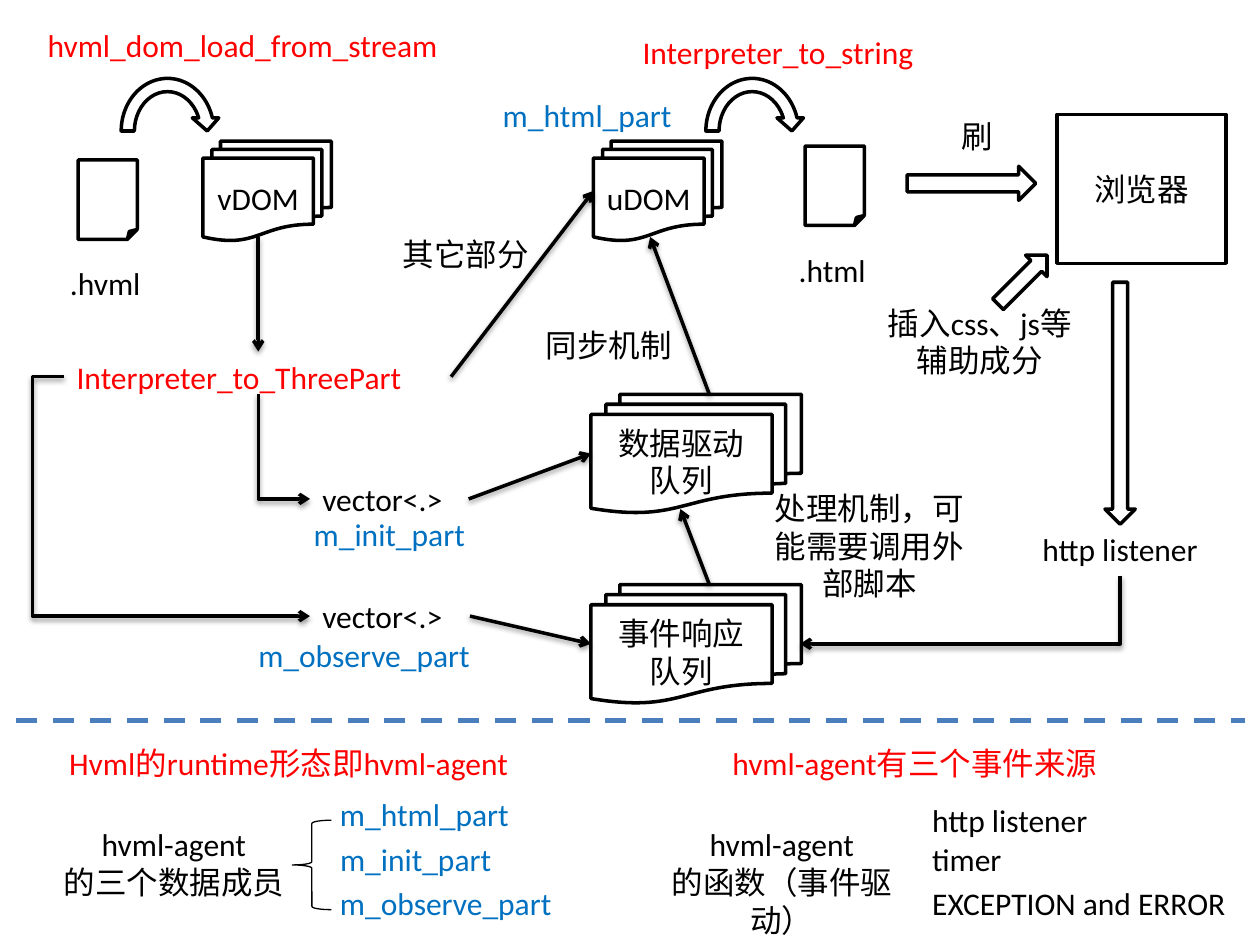
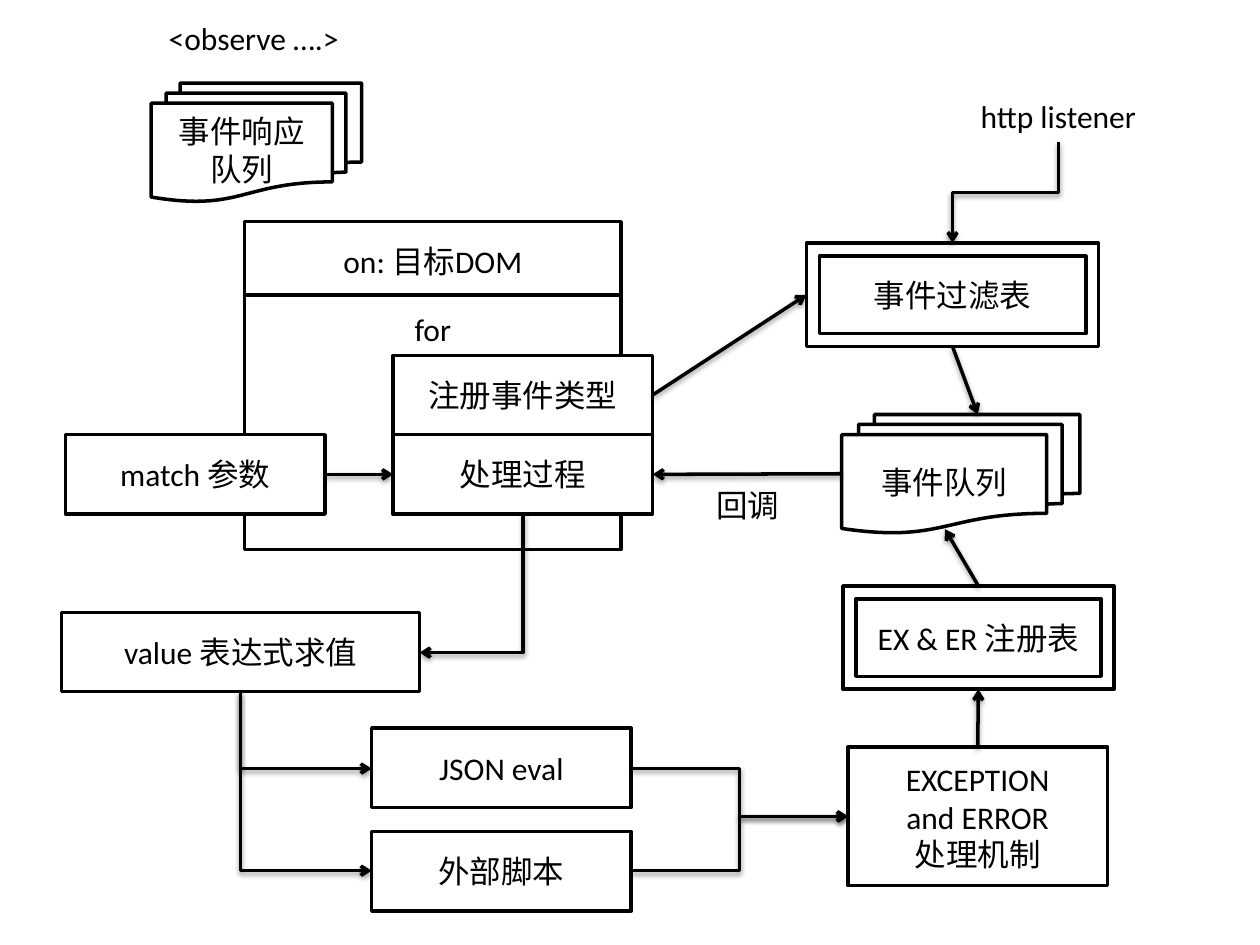
from lxml.etree import SubElement
from pptx import Presentation
from pptx.dml.color import RGBColor
from pptx.enum.dml import MSO_LINE
from pptx.enum.shapes import MSO_CONNECTOR, MSO_SHAPE
from pptx.enum.text import MSO_ANCHOR, MSO_AUTO_SIZE, PP_ALIGN
from pptx.oxml.ns import qn
from pptx.util import Inches, Pt

BLACK = RGBColor(0x00, 0x00, 0x00)
WHITE = RGBColor(0xFF, 0xFF, 0xFF)
RED = RGBColor(0xFF, 0x00, 0x00)
BLUE = RGBColor(0x00, 0x70, 0xC0)
DIVIDER = RGBColor(0x4B, 0x7E, 0xBC)
FONT = "Calibri"
TEXT_SIZE = Pt(18)
LINE_WIDTH = Pt(2)
LABEL_HEIGHT = 0.4
LEFT, CENTER = PP_ALIGN.LEFT, PP_ALIGN.CENTER
TOP_SIDE, LEFT_SIDE, BOTTOM_SIDE, RIGHT_SIDE = range(4)
RECTANGLE = MSO_SHAPE.RECTANGLE
DOCUMENTS = MSO_SHAPE.FLOWCHART_MULTIDOCUMENT
FRAME = MSO_SHAPE.FRAME
SHEET = MSO_SHAPE.FOLDED_CORNER
LOOP_ARROW = MSO_SHAPE.CIRCULAR_ARROW
BLOCK_ARROW = MSO_SHAPE.RIGHT_ARROW


def add_node(page, kind, place, text="", color=BLACK, align=CENTER):
    left, top, width, height = map(Inches, place)
    if kind is None:
        box = page.shapes.add_textbox(left, top, width, height)
        box.text_frame.auto_size = MSO_AUTO_SIZE.SHAPE_TO_FIT_TEXT
    else:
        box = page.shapes.add_shape(kind, left, top, width, height)
        box.shadow.inherit = False
        box.fill.solid()
        box.fill.fore_color.rgb = WHITE
        box.line.color.rgb = BLACK
        box.line.width = LINE_WIDTH
        box.text_frame.vertical_anchor = MSO_ANCHOR.MIDDLE
    frame = box.text_frame
    frame.word_wrap = True
    for number, words in enumerate(text.split("\n") if text else []):
        para = frame.add_paragraph() if number else frame.paragraphs[0]
        para.alignment = align
        span = para.add_run()
        span.text = words
        span.font.name = FONT
        span.font.size = TEXT_SIZE
        span.font.color.rgb = color
    return box


def add_arrow(page, begin, end, bend=None, adjust=None):
    (x1, y1), (x2, y2) = begin, end
    downward = bend in ("corner", "down")
    if downward:
        middle_x, middle_y = (x1 + x2) / 2, (y1 + y2) / 2
        half_width, half_height = (y2 - y1) / 2, abs(x2 - x1) / 2
        corners = (middle_x - half_width, middle_y - half_height,
                   middle_x + half_width, middle_y + half_height)
    else:
        corners = (x1, y1, x2, y2)
    kind = MSO_CONNECTOR.ELBOW if bend else MSO_CONNECTOR.STRAIGHT
    arrow = page.shapes.add_connector(kind, *map(Inches, corners))
    arrow.line.color.rgb = BLACK
    arrow.line.width = LINE_WIDTH
    properties = arrow._element.spPr
    if downward:
        transform = properties.find(qn("a:xfrm"))
        transform.set("rot", str((90 if x2 < x1 else 270) * 60000))
        if x2 > x1:
            transform.set("flipH", "1")
    geometry = properties.find(qn("a:prstGeom"))
    if bend == "corner":
        geometry.set("prst", "bentConnector2")
    if adjust is not None:
        guides = geometry.find(qn("a:avLst"))
        SubElement(guides, qn("a:gd"), name="adj1", fmla=f"val {round(adjust * 100000)}")
    SubElement(properties.find(qn("a:ln")), qn("a:tailEnd"), type="arrow")
    effects = SubElement(properties, qn("a:effectLst"))
    shadow = SubElement(effects, qn("a:outerShdw"), blurRad=str(Pt(3.1)),
                        dist=str(Pt(1.6)), dir="5400000", rotWithShape="0")
    shade = SubElement(shadow, qn("a:srgbClr"), val=str(BLACK))
    SubElement(shade, qn("a:alpha"), val="38000")
    return arrow


deck = Presentation()
deck.slide_width = Inches(10)
deck.slide_height = Inches(7.5)
blank = deck.slide_layouts[6]

flow = deck.slides.add_slide(blank)

for kind, place in [
    (SHEET, (0.62, 1.27, 0.47, 0.63)),
    (SHEET, (6.39, 1.16, 0.47, 0.63)),
    (LOOP_ARROW, (0.91, 0.57, 0.84, 0.94)),
    (LOOP_ARROW, (5.55, 0.57, 0.84, 0.94)),
    (BLOCK_ARROW, (7.2, 1.32, 1.02, 0.27)),
]:
    add_node(flow, kind, place)

for place, angle in [((7.93, 3.08, 1.92, 0.24), 90), ((7.84, 2.1, 0.55, 0.24), 315)]:
    add_node(flow, BLOCK_ARROW, place).rotation = angle

vdom = add_node(flow, DOCUMENTS, (1.61, 1.12, 1.02, 0.79), "vDOM")
udom = add_node(flow, DOCUMENTS, (4.71, 1.12, 1.02, 0.79), "uDOM")
data_queue = add_node(flow, DOCUMENTS, (4.69, 3.13, 1.67, 0.94), "数据驱动\n队列")
event_queue = add_node(flow, DOCUMENTS, (4.69, 4.64, 1.67, 0.94), "事件响应队列")
add_node(flow, RECTANGLE, (8.39, 0.91, 1.34, 1.18), "浏览器")

for begin, end, target in [
    ((2.05, 1.88), (2.05, 2.79), None),
    ((3.58, 2.99), (4.71, 1.51), udom),
    ((3.72, 3.96), (4.69, 3.6), data_queue),
    ((3.73, 4.89), (4.69, 5.11), event_queue),
    ((5.63, 4.64), (5.4, 4.04), None),
    ((5.63, 3.13), (5.16, 1.88), None),
]:
    arrow = add_arrow(flow, begin, end)
    if target is not None:
        arrow.end_connect(target, LEFT_SIDE)

add_arrow(flow, (2.05, 3.13), (2.46, 3.96), "corner")
add_arrow(flow, (0.51, 2.99), (2.46, 4.89), "across", -0.13)
add_arrow(flow, (8.89, 4.57), (6.35, 5.11), "corner")

for text, left, top, width, color, align in [
    (".hvml", 0.4, 2.05, 0.87, BLACK, CENTER),
    (".html", 6.17, 1.94, 0.87, BLACK, CENTER),
    ("hvml_dom_load_from_stream", 0.28, 0.16, 3.54, RED, LEFT),
    ("Interpreter_to_string", 4.91, 0.21, 2.53, RED, CENTER),
    ("Interpreter_to_ThreePart", 0.51, 2.79, 3.07, RED, LEFT),
    ("刷", 7.44, 0.88, 0.63, BLACK, CENTER),
    ("vector<.>", 2.46, 3.76, 1.26, BLACK, LEFT),
    ("vector<.>", 2.46, 4.69, 1.28, BLACK, LEFT),
    ("其它部分", 3.1, 1.82, 1.26, BLACK, LEFT),
    ("同步机制", 4.16, 2.54, 1.34, BLACK, CENTER),
    ("http listener", 7.91, 4.16, 1.96, BLACK, CENTER),
    ("m_html_part", 3.77, 0.71, 1.78, BLUE, CENTER),
    ("m_init_part", 2.2, 4.04, 1.78, BLUE, CENTER),
    ("m_observe_part", 1.81, 5, 2.16, BLUE, CENTER),
    ("Hvml的runtime形态即hvml-agent", 0.02, 5.86, 4.54, RED, CENTER),
    ("hvml-agent有三个事件来源", 4.99, 5.86, 4.54, RED, CENTER),
    ("m_html_part", 2.6, 6.26, 1.96, BLUE, LEFT),
    ("m_init_part", 2.6, 6.62, 2.08, BLUE, LEFT),
    ("m_observe_part", 2.6, 6.97, 2.27, BLUE, LEFT),
    ("http listener", 7.3, 6.31, 1.96, BLACK, LEFT),
    ("timer", 7.3, 6.62, 1.96, BLACK, LEFT),
    ("EXCEPTION and ERROR", 7.3, 6.97, 2.58, BLACK, LEFT),
]:
    add_node(flow, None, (left, top, width, LABEL_HEIGHT), text, color, align)

for text, place in [
    ("插入css、js等\n辅助成分", (6.75, 2.36, 2.05, 0.71)),
    ("处理机制，可能需要调用外部脚本", (5.95, 3.83, 1.9, 1.01)),
    ("hvml-agent\n的三个数据成员", (0.3, 6.5, 2.16, 0.71)),
    ("hvml-agent\n的函数（事件驱动）", (5.02, 6.5, 2.37, 0.71)),
]:
    add_node(flow, None, place, text)

brace = add_node(flow, MSO_SHAPE.LEFT_BRACE, (2.32, 6.51, 0.31, 0.71))
brace.fill.background()
brace.line.width = Pt(0.75)

divider = flow.shapes.add_connector(
    MSO_CONNECTOR.STRAIGHT, Inches(0.13), Inches(5.72), Inches(9.88), Inches(5.72))
divider.line.color.rgb = DIVIDER
divider.line.width = Pt(3)
divider.line.dash_style = MSO_LINE.DASH
SubElement(divider._element.spPr, qn("a:effectLst"))

events = deck.slides.add_slide(blank)
STEP_WIDTH, STEP_HEIGHT = 2.06, 0.63

add_node(events, DOCUMENTS, (1.2, 0.66, 1.67, 0.94), "事件响应队列")
add_node(events, None, (1.24, 0.1, 1.67, LABEL_HEIGHT), "<observe ….>", align=LEFT)
add_node(events, None, (7.42, 0.72, 1.96, LABEL_HEIGHT), "http listener")
add_node(events, None, (5.33, 3.81, 1.21, LABEL_HEIGHT), "回调")
add_node(events, RECTANGLE, (1.94, 1.76, 2.99, STEP_HEIGHT), "on: 目标DOM")
scope = add_node(events, RECTANGLE, (1.94, 2.34, 2.99, 2.02), "for")
scope.text_frame.vertical_anchor = MSO_ANCHOR.TOP
scope.text_frame.margin_top = Inches(0.12)

steps = {}
for text, left, top in [
    ("注册事件类型", 3.12, 2.82),
    ("处理过程", 3.12, 3.45),
    ("match 参数", 0.52, 3.45),
    ("JSON eval", 2.95, 5.78),
    ("外部脚本", 2.95, 6.6),
]:
    steps[text] = add_node(events, RECTANGLE, (left, top, STEP_WIDTH, STEP_HEIGHT), text)

register, process, match = steps["注册事件类型"], steps["处理过程"], steps["match 参数"]
add_node(events, RECTANGLE, (0.49, 4.86, 2.84, STEP_HEIGHT), "value 表达式求值")
errors = add_node(events, RECTANGLE, (6.73, 5.93, STEP_WIDTH, 1.1),
                  "EXCEPTION\nand ERROR\n处理机制")
queue = add_node(events, DOCUMENTS, (6.68, 3.29, 1.89, 0.94), "事件队列")
event_filter = add_node(events, FRAME, (6.4, 1.93, 2.32, 0.82), "事件过滤表")
registry = add_node(events, FRAME, (6.69, 4.65, 2.15, 0.82), "EX & ER 注册表")

for begin, end, source, source_side, target, target_side in [
    ((7.56, 2.75), (7.76, 3.29), event_filter, BOTTOM_SIDE, None, None),
    ((5.18, 3.14), (6.4, 2.34), register, RIGHT_SIDE, event_filter, LEFT_SIDE),
    ((6.68, 3.77), (5.18, 3.77), queue, LEFT_SIDE, process, RIGHT_SIDE),
    ((2.58, 3.77), (3.12, 3.77), match, RIGHT_SIDE, process, LEFT_SIDE),
    ((7.76, 5.93), (7.76, 5.48), errors, TOP_SIDE, registry, BOTTOM_SIDE),
    ((7.76, 4.65), (7.5, 4.2), registry, TOP_SIDE, None, None),
]:
    arrow = add_arrow(events, begin, end)
    arrow.begin_connect(source, source_side)
    if target is not None:
        arrow.end_connect(target, target_side)

for begin, end, bend in [
    ((8.4, 1.13), (7.56, 1.93), "down"),
    ((4.15, 4.08), (3.33, 5.18), "corner"),
    ((1.91, 5.49), (2.95, 6.1), "corner"),
    ((1.91, 5.49), (2.95, 6.91), "corner"),
    ((5.01, 6.1), (6.73, 6.48), "across"),
    ((5.01, 6.91), (6.73, 6.48), "across"),
]:
    add_arrow(events, begin, end, bend)

deck.save("out.pptx")
